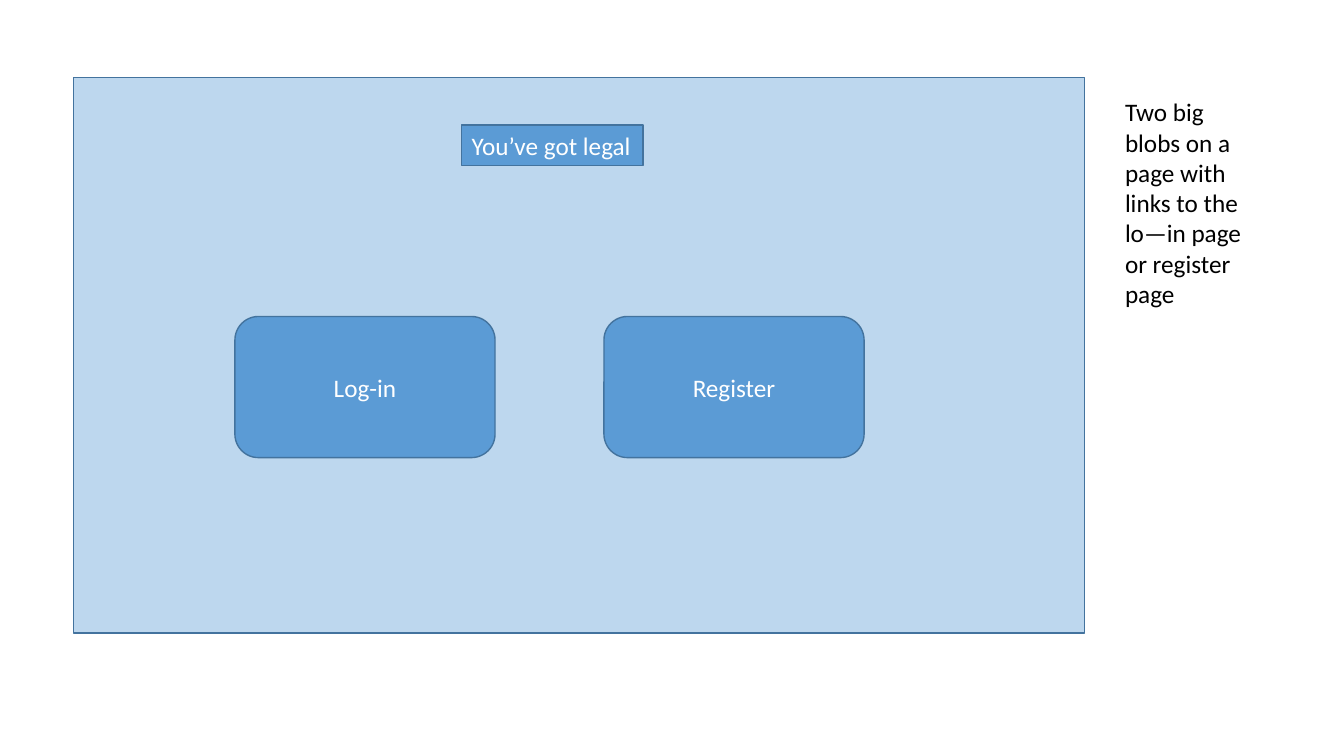
"""Build the landing page wireframe slide with its log-in and register buttons."""
from pptx import Presentation
from pptx.dml.color import RGBColor
from pptx.enum.shapes import MSO_SHAPE
from pptx.enum.text import MSO_ANCHOR, MSO_AUTO_SIZE, PP_ALIGN
from pptx.util import Inches, Pt

RECTANGLE, ROUNDED = MSO_SHAPE.RECTANGLE, MSO_SHAPE.ROUNDED_RECTANGLE
TOP, MIDDLE = MSO_ANCHOR.TOP, MSO_ANCHOR.MIDDLE
LEFT, CENTER = PP_ALIGN.LEFT, PP_ALIGN.CENTER
FIT_SHAPE, NO_FIT = MSO_AUTO_SIZE.SHAPE_TO_FIT_TEXT, MSO_AUTO_SIZE.NONE
BLANK_LAYOUT = 6

PAGE_FILL, BLUE, OUTLINE = "BDD7EE", "5B9BD5", "43739E"
WHITE, BLACK = "FFFFFF", "000000"

BANNER = "You’ve got legal"
BUTTONS = ["Log-in", "Register"]
NOTE = "Two big blobs on a page with links to the lo—in page or register page"

PAGE_BOX = (0.73, 0.77, 10.03, 5.51)
BANNER_BOX = (4.58, 1.24, 1.8, 0.4)
NOTE_BOX = (11.06, 0.91, 1.37, 2.52)
BUTTON_LEFT, BUTTON_TOP, BUTTON_WIDTH, BUTTON_HEIGHT = 2.33, 3.14, 2.58, 1.4
BUTTON_GAP = 1.08


def color(value):
    return RGBColor.from_string(value)


def add_panel(slide, kind, box, fill):
    shape = slide.shapes.add_shape(kind, *map(Inches, box))
    shape.shadow.inherit = False
    shape.fill.solid()
    shape.fill.fore_color.rgb = color(fill)
    shape.line.color.rgb = color(OUTLINE)
    shape.line.width = Pt(1)
    return shape


def write(shape, text, ink=WHITE, align=LEFT, anchor=TOP, wrap=True, fit=NO_FIT):
    frame = shape.text_frame
    frame.auto_size = fit
    frame.word_wrap = wrap
    frame.vertical_anchor = anchor
    paragraph = frame.paragraphs[0]
    paragraph.alignment = align
    run = paragraph.add_run()
    run.text = text
    run.font.name = "Calibri"
    run.font.size = Pt(18)
    run.font.color.rgb = color(ink)


presentation = Presentation()
presentation.slide_width = Inches(13.33)
presentation.slide_height = Inches(7.5)
slide = presentation.slides.add_slide(presentation.slide_layouts[BLANK_LAYOUT])

add_panel(slide, RECTANGLE, PAGE_BOX, PAGE_FILL)
banner = add_panel(slide, RECTANGLE, BANNER_BOX, BLUE)
write(banner, BANNER, wrap=False, fit=FIT_SHAPE)

for index, label in enumerate(BUTTONS):
    left = BUTTON_LEFT + index * (BUTTON_WIDTH + BUTTON_GAP)
    box = (left, BUTTON_TOP, BUTTON_WIDTH, BUTTON_HEIGHT)
    button = add_panel(slide, ROUNDED, box, BLUE)
    write(button, label, align=CENTER, anchor=MIDDLE)

note = slide.shapes.add_textbox(*map(Inches, NOTE_BOX))
write(note, NOTE, ink=BLACK, fit=FIT_SHAPE)

presentation.save("out.pptx")
